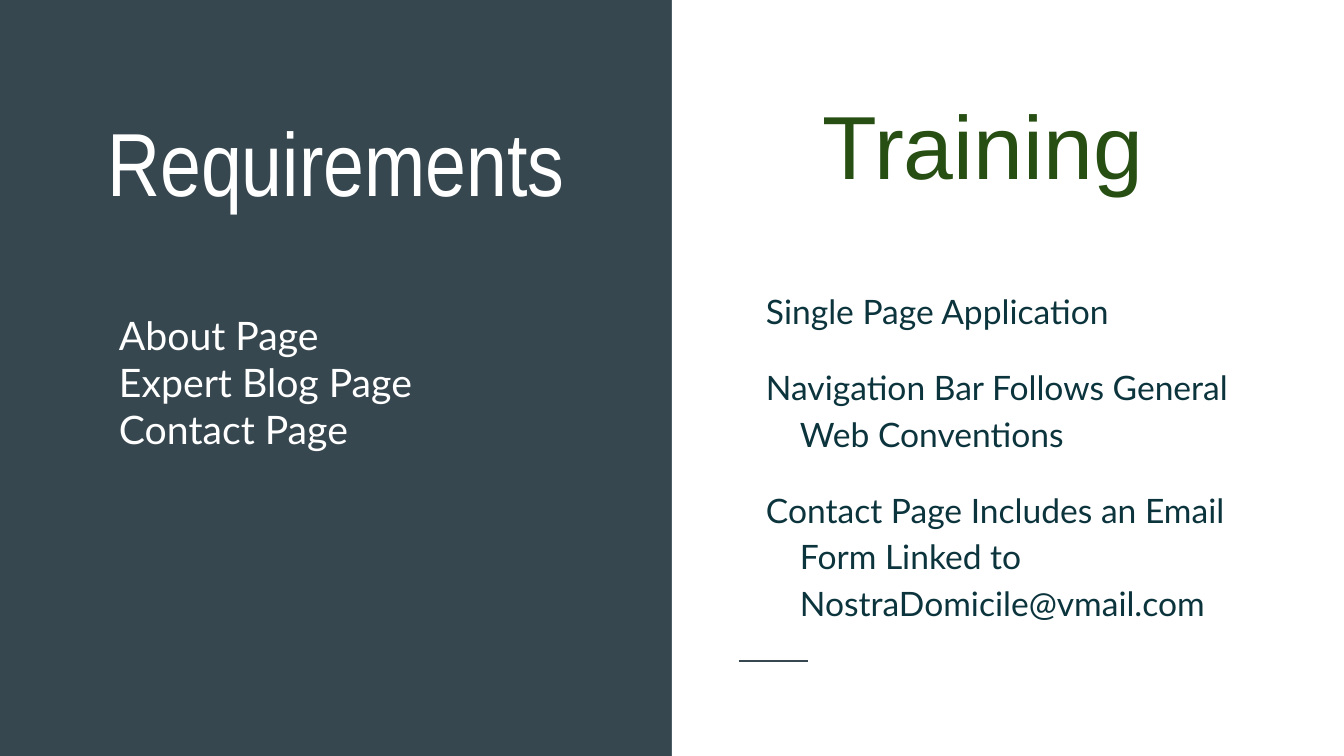
from lxml.etree import SubElement
from pptx import Presentation
from pptx.dml.color import RGBColor
from pptx.enum.shapes import MSO_CONNECTOR as Connector, MSO_SHAPE as Shape
from pptx.enum.text import MSO_ANCHOR as Anchor, MSO_AUTO_SIZE as AutoSize, PP_ALIGN as Align
from pptx.oxml.ns import qn
from pptx.util import Pt

# Content
REQUIREMENTS_TITLE = ["Requirements"]
REQUIREMENTS = ["About Page", "Expert Blog Page", "Contact Page"]
TRAINING_TITLE = ["Training"]
TRAINING = [
    "Single Page Application",
    "Navigation Bar Follows General Web Conventions",
    "Contact Page Includes an Email Form Linked to NostraDomicile@vmail.com",
]

THEME = {
    "slate": "37474F", "white": "FFFFFF", "green": "274E13", "teal": "0C343D",
    "heading": 48, "list": 21, "body": 18, "rule": 1.5,
}

# Geometry in px
WIDTH, HEIGHT = 1344, 756
HALF = WIDTH // 2
INSET = 13
LEFT, RIGHT = 39, 720
HEADING_TOP = 77
LIST_INDENT, HANGING = 67, 34


def px(value):
    return round(value * 914400 / 134.4)


def color(name):
    return RGBColor.from_string(THEME[name])


def place(shape, left, top, width, height):
    shape.left, shape.top, shape.width, shape.height = map(px, (left, top, width, height))
    return shape


def write(box, lines, *, size, font, ink, anchor=Anchor.TOP, align=Align.LEFT,
          margin=0, indent=0, spacing=1.0, after=0):
    frame = box.text_frame
    frame.word_wrap = True
    frame.auto_size = AutoSize.NONE
    frame.vertical_anchor = anchor
    frame.margin_left = frame.margin_right = px(INSET)
    frame.margin_top = frame.margin_bottom = px(INSET)
    for index, line in enumerate(lines):
        para = frame.add_paragraph() if index else frame.paragraphs[0]
        para.alignment = align
        para.line_spacing = spacing
        para.space_before, para.space_after = Pt(0), Pt(after)
        properties = para._p.get_or_add_pPr()
        properties.set("marL", str(px(margin)))
        properties.set("indent", str(px(indent)))
        span = para.add_run()
        span.text = line
        span.font.name = font
        span.font.size = Pt(THEME[size])
        span.font.color.rgb = color(ink)


def main():
    deck = Presentation()
    deck.slide_width, deck.slide_height = px(WIDTH), px(HEIGHT)
    page = deck.slides.add_slide(deck.slide_layouts[5])
    shapes = page.shapes
    page.background.fill.solid()
    page.background.fill.fore_color.rgb = color("slate")

    # White right half
    panel = place(shapes.add_shape(Shape.RECTANGLE, 0, 0, 0, 0), HALF, 0, HALF, HEIGHT)
    panel.shadow.inherit = False
    panel.fill.solid()
    panel.fill.fore_color.rgb = color("white")
    panel.line.fill.background()

    # Short rule at the foot of the panel
    rule = shapes.add_connector(Connector.STRAIGHT, px(739), px(661), px(808), px(661))
    rule.line.color.rgb = color("slate")
    rule.line.width = Pt(THEME["rule"])
    SubElement(rule._element.spPr, qn("a:effectLst"))

    # Requirements
    title = place(shapes.title, LEFT, HEADING_TOP, 594, 151)
    write(title, REQUIREMENTS_TITLE, size="heading", font="Arial Narrow", ink="white",
          anchor=Anchor.BOTTOM, align=Align.CENTER)
    requirements = place(shapes.add_textbox(0, 0, 0, 0), LEFT, 298, 594, 319)
    write(requirements, REQUIREMENTS, size="list", font="Lato", ink="white",
          margin=LIST_INDENT)

    # Training
    heading = place(shapes.add_textbox(0, 0, 0, 0), RIGHT, HEADING_TOP, 526, 163)
    write(heading, TRAINING_TITLE, size="heading", font="Arial", ink="green",
          align=Align.CENTER)
    training = place(shapes.add_textbox(0, 0, 0, 0), RIGHT, 263, 564, 382)
    write(training, TRAINING, size="body", font="Lato", ink="teal", anchor=Anchor.MIDDLE,
          margin=LIST_INDENT, indent=-HANGING, spacing=1.15, after=16)

    deck.save("out.pptx")


if __name__ == "__main__":
    main()
